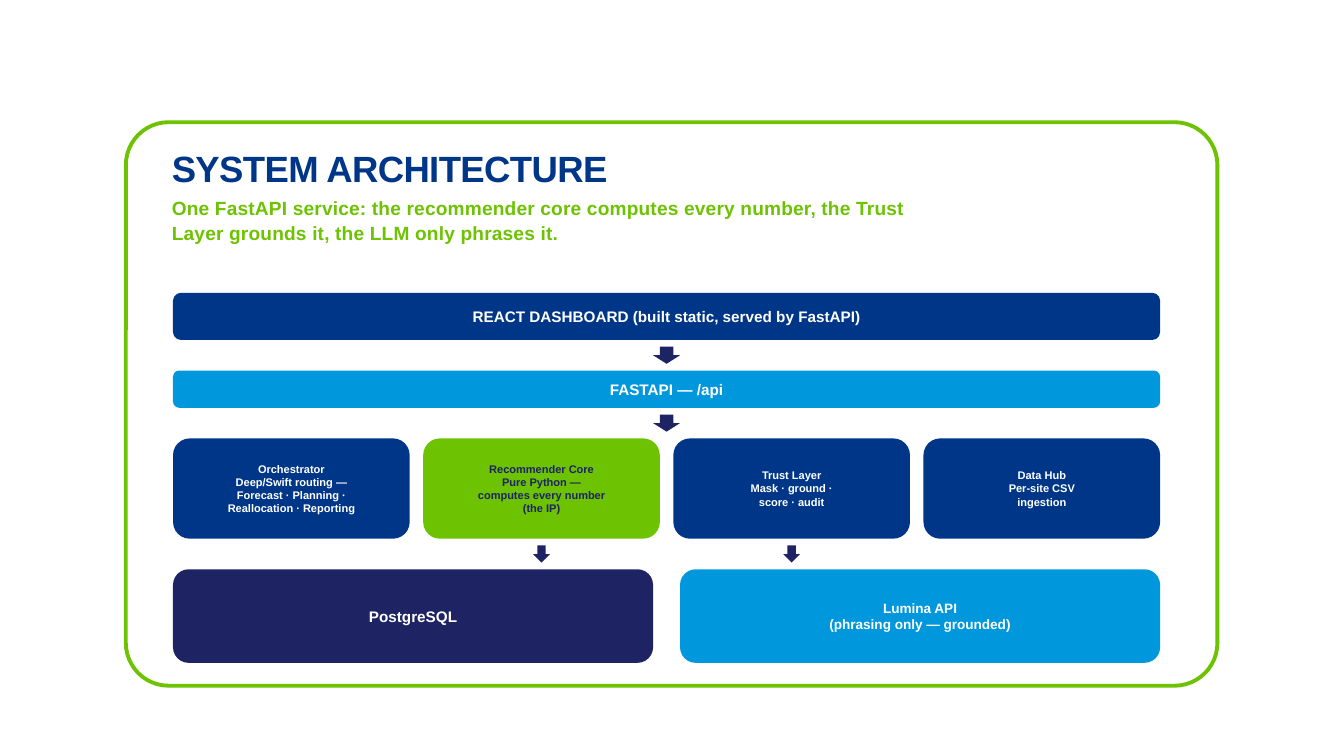
from dataclasses import dataclass

from pptx import Presentation
from pptx import util as u
from pptx.dml.color import RGBColor
from pptx.enum import shapes, text
from pptx.util import Cm

COLORS = {
    "navy": "003687",
    "ink": "1E2364",
    "sky": "0097DC",
    "green": "6DC201",
    "white": "FFFFFF",
}
LEFT, WIDTH = 7.19, 41.02
TOP, ROW_GAP = 12.17, 1.27
ARROW_HEIGHT = 0.71


@dataclass
class Block:
    lines: list[str]
    fill: str
    size: float = 18
    color: str = "white"


@dataclass
class Row:
    height: float
    blocks: list[Block]
    gap: float = 0


@dataclass
class Arrows:
    """Arrows in the space under a row, centred on the given columns of that row."""
    columns: list[int]
    width: float


ROWS = [
    Row(1.96, [Block(["REACT DASHBOARD (built static, served by FastAPI)"], "navy")]),
    Row(1.55, [Block(["FASTAPI — /api"], "sky")]),
    Row(4.17, [
        Block(["Orchestrator", "Deep/Swift routing —", "Forecast · Planning ·",
               "Reallocation · Reporting"], "navy", 13),
        Block(["Recommender Core", "Pure Python —", "computes every number",
               "(the IP)"], "green", 13, "ink"),
        Block(["Trust Layer", "Mask · ground ·", "score · audit"], "navy", 13),
        Block(["Data Hub", "Per-site CSV", "ingestion"], "navy", 13),
    ], 0.56),
    Row(3.89, [
        Block(["PostgreSQL"], "ink"),
        Block(["Lumina API", "(phrasing only — grounded)"], "sky", 16),
    ], 1.12),
]
ARROWS = [Arrows([0], 1.12), Arrows([0], 1.12), Arrows([1, 2], 0.69)]


def rgb(name: str) -> RGBColor:
    return RGBColor.from_string(COLORS[name])


def style(para, size: float, color: str) -> None:
    font = para.font
    font.name, font.size, font.bold = "Arial", u.Pt(size), True
    font.color.rgb = rgb(color)


def add_filled(page, kind, left: float, top: float, width: float, height: float, fill: str):
    box = page.shapes.add_shape(kind, Cm(left), Cm(top), Cm(width), Cm(height))
    box.shadow.inherit = False
    box.fill.solid()
    box.fill.fore_color.rgb = rgb(fill)
    box.line.fill.background()
    return box


def add_block(page, block: Block, left: float, top: float, width: float, height: float) -> None:
    box = add_filled(page, shapes.MSO_SHAPE.ROUNDED_RECTANGLE,
                     left, top, width, height, block.fill)
    frame = box.text_frame
    frame.vertical_anchor = text.MSO_ANCHOR.MIDDLE
    frame.text = "\n".join(block.lines)
    for para in frame.paragraphs:
        para.alignment = text.PP_ALIGN.CENTER
        style(para, block.size, block.color)


def add_frame(page) -> None:
    width, height, radius = 45.36, 23.42, 1.78
    box = page.shapes.add_shape(shapes.MSO_SHAPE.ROUNDED_RECTANGLE,
                                Cm(5.23), Cm(5.08), Cm(width), Cm(height))
    box.adjustments[0] = radius / height
    box.shadow.inherit = False
    box.fill.background()
    box.line.color.rgb = rgb("green")
    box.line.width = u.Pt(4.53)


def add_heading(page) -> None:
    box = page.shapes.add_textbox(Cm(7.14), Cm(5.51), Cm(32.66), Cm(4.7))
    frame = box.text_frame
    frame.word_wrap = True
    frame.margin_left = frame.margin_right = frame.margin_bottom = 0
    frame.margin_top = Cm(0.56)
    frame.text = (
        "SYSTEM ARCHITECTURE\n"
        "One FastAPI service: the recommender core computes every number, "
        "the Trust Layer grounds it, the LLM only phrases it."
    )
    title, subtitle = frame.paragraphs
    subtitle.line_spacing = 1.1
    subtitle.space_before = u.Pt(5.3)
    style(title, 43, "navy")
    style(subtitle, 22.5, "green")
    for para, spacing in ((title, -70), (subtitle, 20)):
        for span in para.runs:
            span._r.get_or_add_rPr().set("spc", str(spacing))


def add_rows(page) -> None:
    top = TOP
    for index, row in enumerate(ROWS):
        count = len(row.blocks)
        width = (WIDTH - row.gap * (count - 1)) / count
        lefts = [LEFT + column * (width + row.gap) for column in range(count)]
        for block, left in zip(row.blocks, lefts):
            add_block(page, block, left, top, width, row.height)
        top += row.height
        if index < len(ARROWS):
            arrows = ARROWS[index]
            for column in arrows.columns:
                add_filled(page, shapes.MSO_SHAPE.DOWN_ARROW,
                           lefts[column] + (width - arrows.width) / 2,
                           top + (ROW_GAP - ARROW_HEIGHT) / 2,
                           arrows.width, ARROW_HEIGHT, "ink")
        top += ROW_GAP


def main() -> None:
    deck = Presentation()
    deck.slide_width, deck.slide_height = Cm(55.85), Cm(31.42)
    page = deck.slides.add_slide(deck.slide_layouts[6])
    add_frame(page)
    add_heading(page)
    add_rows(page)
    deck.save("out.pptx")


if __name__ == "__main__":
    main()
